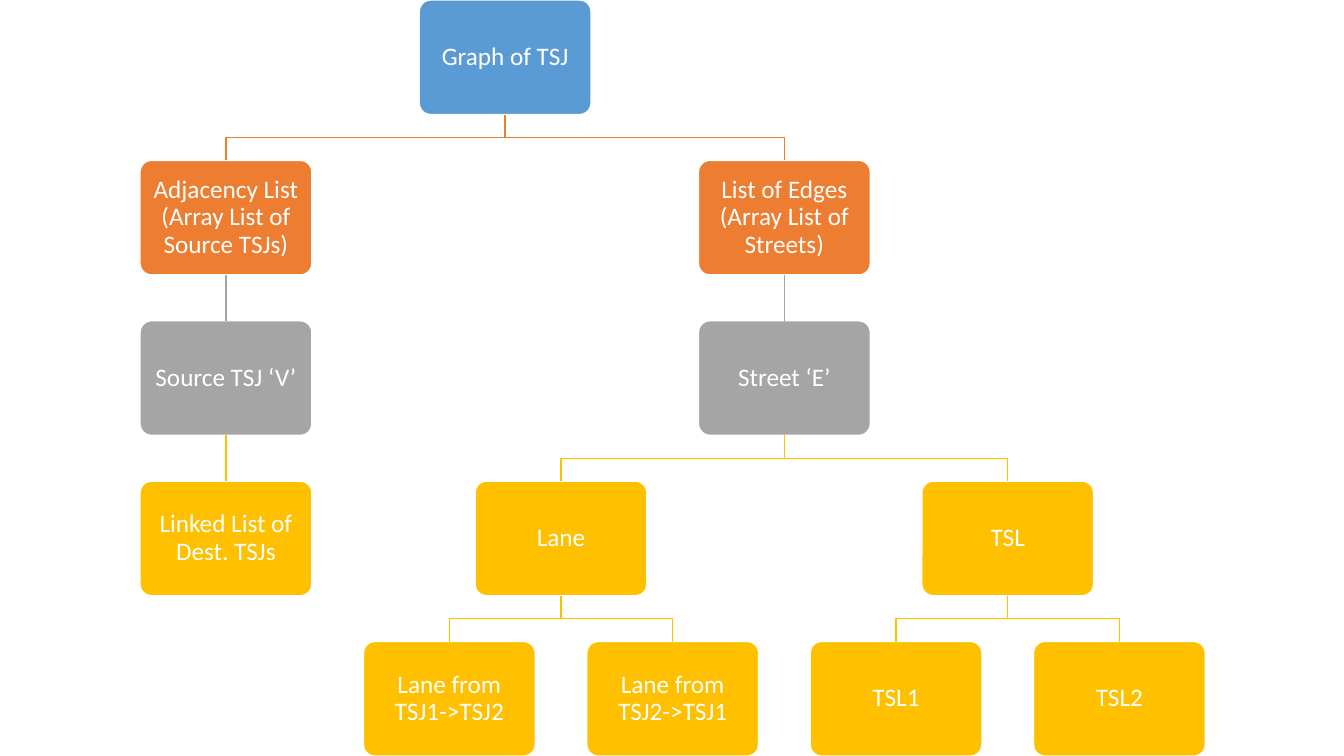
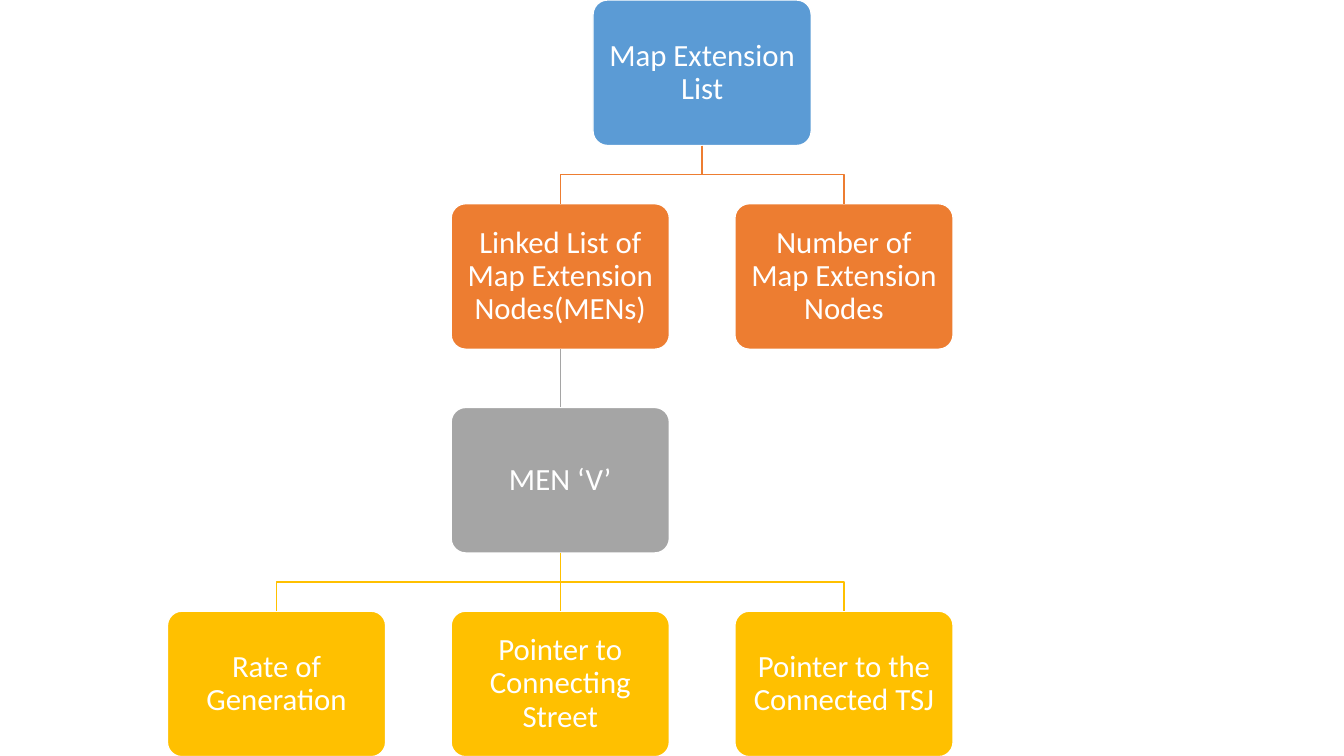
import lxml.etree
import pptx
import pptx.dml.color
import pptx.enum.shapes
import pptx.enum.text
import pptx.oxml.ns
import pptx.util

Cm = pptx.util.Cm
HUES = {"root": "5B9BD5", "list": "ED7D31", "item": "A5A5A5",
        "part": "FFC000", "white": "FFFFFF"}
LEVELS = ("root", "list", "item", "part", "part")
FONT = "Calibri"

# Each node is a label followed by its child nodes.
GRAPH = ("Graph of TSJ",
         ("Adjacency List (Array List of Source TSJs)",
          ("Source TSJ ‘V’",
           ("Linked List of Dest. TSJs",))),
         ("List of Edges (Array List of Streets)",
          ("Street ‘E’",
           ("Lane", ("Lane from TSJ1->TSJ2",), ("Lane from TSJ2->TSJ1",)),
           ("TSL", ("TSL1",), ("TSL2",)))))
MAP = ("Map Extension List",
       ("Linked List of Map Extension Nodes(MENs)",
        ("MEN ‘V’",
         ("Rate of Generation",),
         ("Pointer to Connecting Street",),
         ("Pointer to the Connected TSJ",))),
       ("Number of Map Extension Nodes",))


def hue(name):
    """Return the named colour."""
    return pptx.dml.color.RGBColor.from_string(HUES[name])


def write(shape, text, *, size, inset, color="white"):
    """Put centred text in a shape."""
    frame = shape.text_frame
    frame.word_wrap = True
    frame.vertical_anchor = pptx.enum.text.MSO_ANCHOR.MIDDLE
    frame.margin_left = frame.margin_right = Cm(inset)
    frame.margin_top = frame.margin_bottom = Cm(inset)
    para = frame.paragraphs[0]
    para.alignment = pptx.enum.text.PP_ALIGN.CENTER
    para.line_spacing = 0.9
    run = para.add_run()
    run.text = text
    run.font.name = FONT
    run.font.size = pptx.util.Pt(size)
    run.font.color.rgb = hue(color)


def stroke(shape, color):
    """Give a shape a thin line."""
    shape.line.color.rgb = hue(color)
    shape.line.width = pptx.util.Pt(1)


def add_box(slide, left, top, width, height, color):
    """Add a rounded box."""
    box = slide.shapes.add_shape(
        pptx.enum.shapes.MSO_SHAPE.ROUNDED_RECTANGLE,
        Cm(left), Cm(top), Cm(width), Cm(height))
    box.adjustments[0] = 0.1
    box.shadow.inherit = False
    box.fill.solid()
    box.fill.fore_color.rgb = hue(color)
    stroke(box, "white")
    return box


def add_link(slide, upper, lower, color):
    """Join two boxes with a straight or bent line."""
    start = upper.left + upper.width // 2
    end = lower.left + lower.width // 2
    top = upper.top + upper.height
    if abs(start - end) < Cm(0.01):
        link = slide.shapes.add_connector(
            pptx.enum.shapes.MSO_CONNECTOR.STRAIGHT,
            start, top, end, lower.top)
        link.begin_connect(upper, 2)
        link.end_connect(lower, 0)
        stroke(link, color)
        lxml.etree.SubElement(link._element.spPr,
                              pptx.oxml.ns.qn("a:effectLst"))
        return
    mid = (top + lower.top) // 2
    pen = slide.shapes.build_freeform(start, top)
    pen.add_line_segments([(start, mid), (end, mid), (end, lower.top)],
                          close=False)
    link = pen.convert_to_shape()
    link.fill.background()
    link.shadow.inherit = False
    stroke(link, color)


def place(node, free, depth=0):
    """Return label, slot and placed children, parents centred above."""
    label, *kids = node
    kids = [place(kid, free, depth + 1) for kid in kids]
    if kids:
        slot = (kids[0][1] + kids[-1][1]) / 2
    else:
        slot = max(free[:depth + 1])
    free[depth] = slot + 1
    return label, slot, kids


def draw(slide, node, left, width, style, depth=0):
    """Draw a placed node and all below it."""
    label, slot, kids = node
    height = width * 2 / 3
    box = add_box(slide, left + slot * width * 1.3, depth * height * 1.4,
                  width, height, LEVELS[depth])
    write(box, label, **style)
    for kid in kids:
        lower = draw(slide, kid, left, width, style, depth + 1)
        add_link(slide, box, lower, LEVELS[depth + 1])
    return box


def add_tree(deck, tree, left, width, **style):
    """Add a slide that holds one tree."""
    slide = deck.slides.add_slide(deck.slide_layouts[6])
    draw(slide, place(tree, [0] * len(LEVELS)), left, width, style)


def main():
    """Build and save the deck."""
    deck = pptx.Presentation()
    deck.slide_width = Cm(33.87)
    deck.slide_height = Cm(19.05)
    add_tree(deck, GRAPH, 3.53, 4.33, size=18, inset=0.18)
    add_tree(deck, MAP, 4.22, 5.5, size=22, inset=0.23)
    deck.save("out.pptx")


main()
